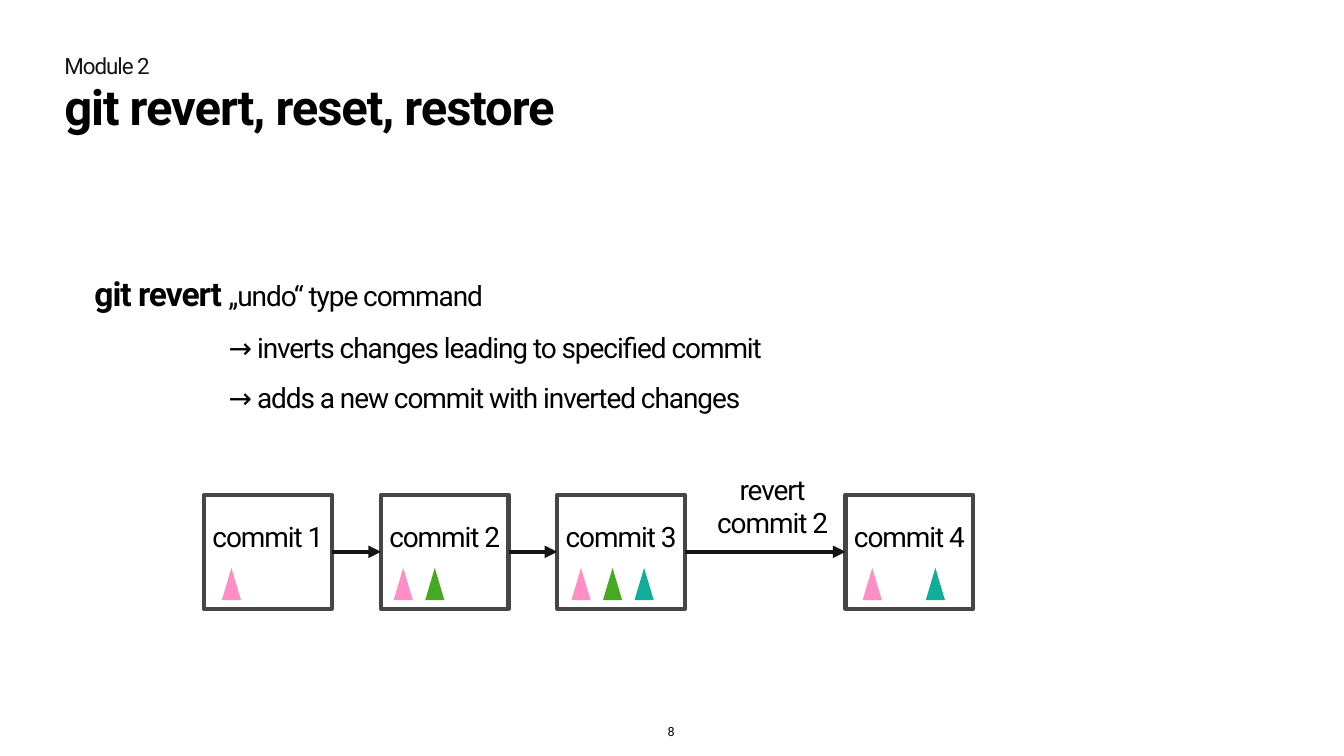
from lxml import etree
from pptx import Presentation
from pptx import util as u
from pptx.dml.color import RGBColor
from pptx.enum import shapes, text
from pptx.oxml import ns

FONT = "Roboto"
BLACK, INK, FRAME = "000000", "151515", "464646"
PINK, GREEN, TEAL = "FF8EC7", "45AA21", "10AD9B"
BOX_WIDTH, BOX_HEIGHT, BOX_TOP = 6.43, 5.74, 24.94
TAB = u.Cm(6.77)
COMMITS = [
    ("commit 1", 10.29, 0.89, [PINK]),
    ("commit 2", 19.2, 0.64, [PINK, GREEN]),
    ("commit 3", 28.09, 0.71, [PINK, GREEN, TEAL]),
    ("commit 4", 42.62, 0.86, [PINK, None, TEAL]),
]


def color(value):
    return RGBColor.from_string(value)


def place(shape, box):
    shape.left, shape.top, shape.width, shape.height = (u.Cm(n) for n in box)


def prepare(shape, anchor=text.MSO_ANCHOR.TOP, align=text.PP_ALIGN.LEFT, spacing=1.0, wrap=True):
    frame = shape.text_frame
    frame.auto_size = text.MSO_AUTO_SIZE.NONE
    frame.word_wrap = wrap
    frame.vertical_anchor = anchor
    frame.margin_left = frame.margin_right = u.Cm(0.14)
    frame.margin_top = frame.margin_bottom = u.Cm(0.14)
    paragraph = frame.paragraphs[0]
    paragraph.alignment = align
    paragraph.line_spacing = spacing
    return paragraph


def add_textbox(slide, box, **settings):
    return prepare(slide.shapes.add_textbox(*(u.Cm(n) for n in box)), **settings)


def add_run(paragraph, words, size, bold=False, value=BLACK, tracking=-150):
    run = paragraph.add_run()
    run.text = words
    run.font.name = FONT
    run.font.size = u.Pt(size)
    run.font.bold = bold
    run.font.color.rgb = color(value)
    if tracking:
        run.font._element.set("spc", str(tracking))


def add_lines(paragraph, lines, size):
    for index, line in enumerate(lines):
        if index:
            paragraph.add_line_break()
        add_run(paragraph, line, size)


def add_header(slide, left, top, width):
    title = slide.shapes.title
    place(title, (left, top + 1.53, width, 4.7))
    add_run(prepare(title, spacing=0.8), "git revert, reset, restore", 70, bold=True)
    module = add_textbox(slide, (left, top, width, 2.2), spacing=0.8)
    add_run(module, "Module 2", 32, value=INK)


def add_explanation(slide, box):
    paragraph = add_textbox(slide, box, spacing=1.5)
    paragraph.space_after = u.Pt(18)
    properties = paragraph._p.get_or_add_pPr()
    properties.set("defTabSz", str(TAB))
    tabs = etree.SubElement(properties, ns.qn("a:tabLst"))
    etree.SubElement(tabs, ns.qn("a:tab"), pos=str(TAB), algn="l")
    add_run(paragraph, "git revert", 48, bold=True)
    add_lines(paragraph, [
        "\t„undo“ type command",
        "\t→ inverts changes leading to specified commit",
        "\t→ adds a new commit with inverted changes",
    ], 40)


def add_commit(slide, name, left, top, inset, changes):
    label = add_textbox(slide, (left, top - 0.3, BOX_WIDTH, 3.94), spacing=1.5,
                        anchor=text.MSO_ANCHOR.MIDDLE, align=text.PP_ALIGN.CENTER)
    label.space_after = u.Pt(18)
    add_run(label, name, 40)
    frame = slide.shapes.add_shape(shapes.MSO_SHAPE.RECTANGLE, u.Cm(left), u.Cm(top),
                                   u.Cm(BOX_WIDTH), u.Cm(BOX_HEIGHT))
    frame.shadow.inherit = False
    frame.fill.background()
    frame.line.color.rgb = color(FRAME)
    frame.line.width = u.Pt(6)
    for index, change in enumerate(changes):
        if change:
            marker = slide.shapes.add_shape(
                shapes.MSO_SHAPE.ISOSCELES_TRIANGLE, u.Cm(left + inset + index * 1.59),
                u.Cm(top + 3.68), u.Cm(0.97), u.Cm(1.63))
            marker.shadow.inherit = False
            marker.fill.solid()
            marker.fill.fore_color.rgb = color(change)
            marker.line.fill.background()
    return frame


def add_arrow(slide, start, end):
    arrow = slide.shapes.add_connector(shapes.MSO_CONNECTOR.STRAIGHT, 0, 0, 0, 0)
    arrow.begin_connect(start, 3)
    arrow.end_connect(end, 1)
    arrow.line.color.rgb = color(INK)
    arrow.line.width = u.Pt(6)
    etree.SubElement(arrow.line._get_or_add_ln(), ns.qn("a:tailEnd"), type="triangle")
    etree.SubElement(arrow._element.spPr, ns.qn("a:effectLst"))


def add_history(slide, top):
    frames = [add_commit(slide, name, left, top, inset, changes)
              for name, left, inset, changes in COMMITS]
    for start, end in zip(frames, frames[1:]):
        add_arrow(slide, start, end)
    caption = add_textbox(slide, (34.29, top - 2, 9.3, 5.1),
                          anchor=text.MSO_ANCHOR.MIDDLE, align=text.PP_ALIGN.CENTER)
    caption.space_after = u.Pt(18)
    add_lines(caption, ["revert", "commit 2"], 40)


def add_page_number(slide, box):
    paragraph = add_textbox(slide, box, anchor=text.MSO_ANCHOR.BOTTOM,
                            align=text.PP_ALIGN.CENTER, wrap=False)
    add_run(paragraph, "8", 18, tracking=0)


def main():
    presentation = Presentation()
    presentation.slide_width = u.Cm(67.74)
    presentation.slide_height = u.Cm(38.1)
    slide = presentation.slides.add_slide(presentation.slide_layouts[5])
    slide.background.fill.solid()
    slide.background.fill.fore_color.rgb = color("FFFFFF")
    add_header(slide, 3.1, 2.74, 53.29)
    add_explanation(slide, (4.62, 12.62, 60.45, 10.29))
    add_history(slide, BOX_TOP)
    add_page_number(slide, (33.5, 36.35, 0.66, 1.04))
    presentation.save("out.pptx")


if __name__ == "__main__":
    main()
